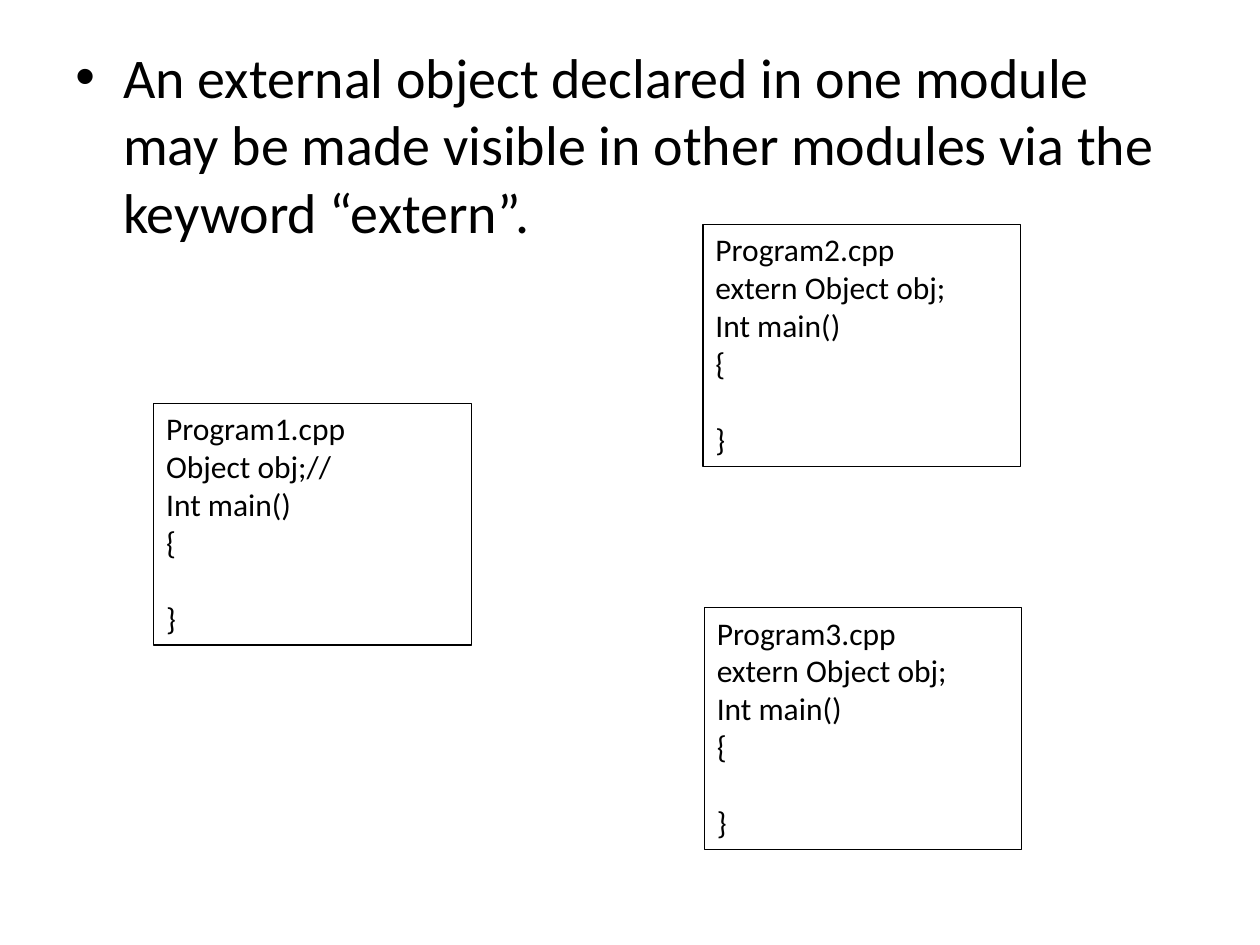
from lxml import etree
from pptx import Presentation
from pptx import util as u
from pptx.dml.color import RGBColor
from pptx.enum import shapes, text
from pptx.oxml.ns import qn

COLORS = {"ink": "000000"}
FONT = "Calibri"
STATEMENT = ("An external object declared in one module may be made visible "
             "in other modules via the keyword “extern”.")
BODY = ["Int main()", "{", "}"]
PROGRAMS = [
    (5.58, 1.78, ["Program2.cpp", "extern Object obj;"]),
    (1.22, 3.2, ["Program1.cpp", "Object obj;//"]),
    (5.59, 4.82, ["Program3.cpp", "extern Object obj;"]),
]
PROGRAM_SIZE = (2.52, 1.92)
CODE_LINE = 22


def write(frame, lines, size):
    frame.word_wrap = True
    frame.vertical_anchor = text.MSO_ANCHOR.TOP
    frame.text = "\n".join(lines)
    for line in frame.paragraphs:
        line.alignment = text.PP_ALIGN.LEFT
        for run in line.runs:
            run.font.name = FONT
            run.font.size = u.Pt(size)
            run.font.color.rgb = RGBColor.from_string(COLORS["ink"])


def add_statement(slide):
    statement = slide.shapes.add_textbox(*map(u.Inches, (0.5, 0.29, 9, 6.41)))
    write(statement.text_frame, [STATEMENT], 32)
    point = statement.text_frame.paragraphs[0]
    point.space_before = u.Pt(6.4)
    props = point._p.get_or_add_pPr()
    props.set("marL", str(u.Inches(0.38)))
    props.set("indent", str(u.Inches(-0.38)))
    etree.SubElement(props, qn("a:buFont"), typeface="Arial")
    etree.SubElement(props, qn("a:buChar"), char="•")


def add_program(slide, left, top, heading):
    program = slide.shapes.add_shape(
        shapes.MSO_SHAPE.RECTANGLE, *map(u.Inches, (left, top, *PROGRAM_SIZE)))
    program.shadow.inherit = False
    program.fill.background()
    program.line.color.rgb = RGBColor.from_string(COLORS["ink"])
    program.line.width = u.Pt(0.75)
    write(program.text_frame, heading + BODY, 18)
    program.text_frame.paragraphs[-1].space_before = u.Pt(CODE_LINE)


def main():
    deck = Presentation()
    deck.slide_width, deck.slide_height = u.Inches(10), u.Inches(7.5)
    slide = deck.slides.add_slide(deck.slide_layouts[6])
    add_statement(slide)
    for left, top, heading in PROGRAMS:
        add_program(slide, left, top, heading)
    deck.save("out.pptx")


if __name__ == "__main__":
    main()
